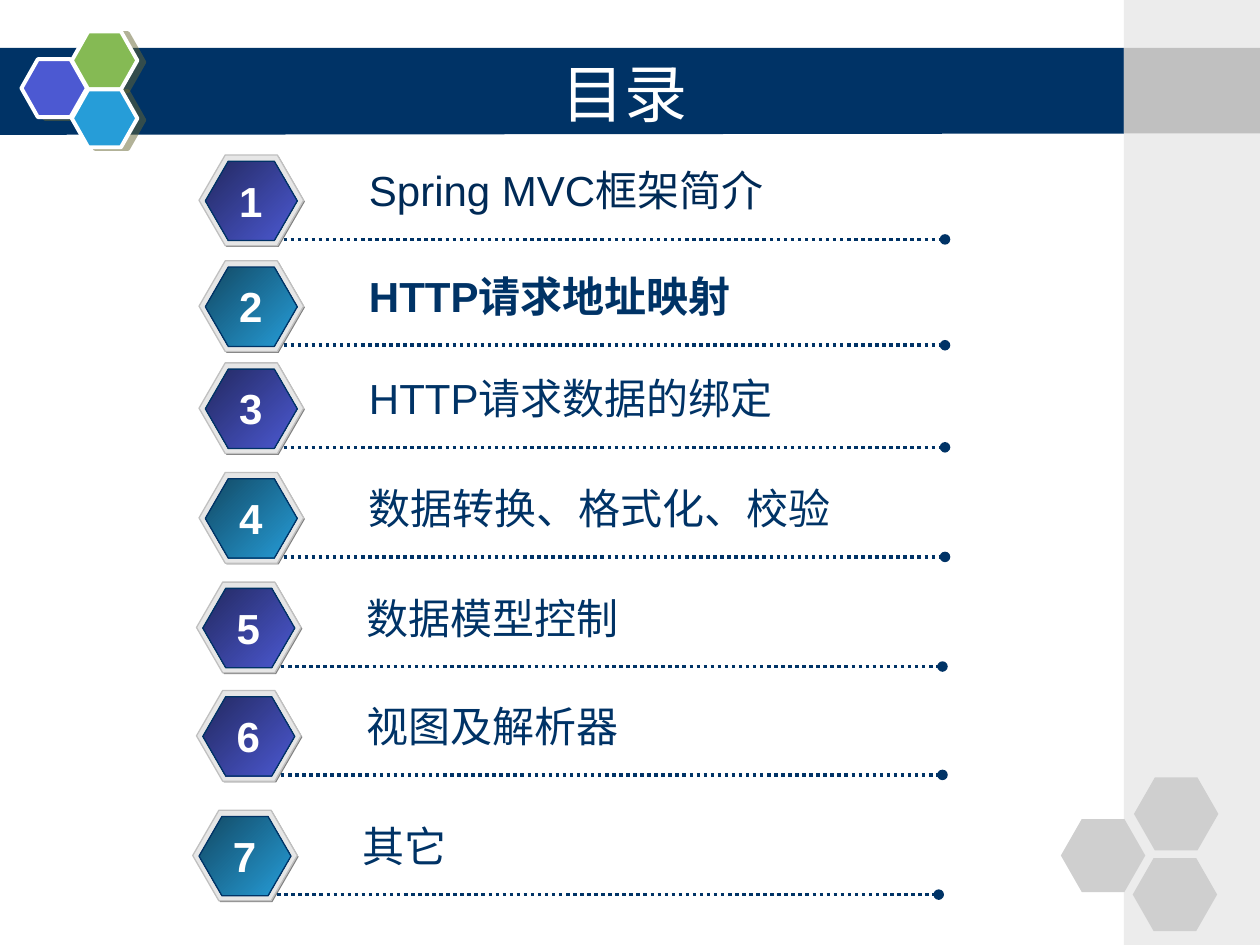
from lxml import etree
from pptx import Presentation
from pptx.dml.color import RGBColor as RGB
from pptx.enum.dml import MSO_LINE as Dash
from pptx.enum.shapes import MSO_CONNECTOR as Conn, MSO_SHAPE as Kind
from pptx.enum.text import MSO_ANCHOR as Anchor, PP_ALIGN as Align
from pptx.oxml import parse_xml
from pptx.oxml.ns import nsdecls, qn
from pptx.util import Inches, Pt

HUES = {
    "navy": "003366", "ink": "002A56", "white": "FFFFFF",
    "violet": "4C59D2", "dusk": "232961", "blue": "269DD8", "teal": "124964",
    "green": "85BA54", "pale": "ECECEC", "silver": "C0C0C0",
    "mist": "CFCFCF", "rim": "E6E6E6", "gray": "808080", "olive": "666633",
}
RGBS = {name: RGB.from_string(code) for name, code in HUES.items()}

deck = Presentation()
deck.slide_width, deck.slide_height = Inches(10), Inches(7.5)
slide = deck.slides.add_slide(deck.slide_layouts[6])
shapes = slide.shapes


def draw(kind, box, fill, edge=None, width=0.75, adj=None):
    """Add a preset shape; a pair of fills makes a diagonal gradient."""
    shape = shapes.add_shape(kind, *map(Inches, box))
    shape.shadow.inherit = False
    if adj:
        shape.adjustments[0] = adj
    if isinstance(fill, tuple):
        shape.fill.gradient()
        shape.fill.gradient_angle = 315
        for stop, hue in zip(shape.fill.gradient_stops, fill):
            stop.color.rgb = RGBS[hue]
    else:
        shape.fill.solid()
        shape.fill.fore_color.rgb = RGBS[fill]
    if edge:
        shape.line.color.rgb = RGBS[edge]
        shape.line.width = Pt(width)
    else:
        shape.line.fill.background()
    return shape


def write(text, box, hue, align=Align.LEFT, wrap=True, anchor=Anchor.TOP, **style):
    """Add a one-line text box."""
    frame = shapes.add_textbox(*map(Inches, box)).text_frame
    frame.word_wrap, frame.vertical_anchor = wrap, anchor
    para = frame.paragraphs[0]
    para.alignment = align
    run = para.add_run()
    run.text = text
    for key, value in ({"name": "Arial", "size": Pt(24)} | style).items():
        setattr(run.font, key, value)
    run.font.color.rgb = RGBS[hue]


# Title band
edge = [(-0.03, 0.38), (8.94, 0.38), (8.93, 1.06), (-0.03, 1.07)]
points = [(Inches(x), Inches(y)) for x, y in edge]
pen = shapes.build_freeform(*points[0])
pen.add_line_segments(points[1:], close=True)
band = pen.convert_to_shape()
band.shadow.inherit = False
band.fill.solid()
band.fill.fore_color.rgb = RGBS["navy"]
band.line.fill.background()

# Coloured hexagons with a hard shadow
for x, y, hue in [(0.17, 0.47, "violet"), (0.57, 0.25, "green"), (0.57, 0.71, "blue")]:
    cell = draw(Kind.HEXAGON, (x, y, 0.52, 0.46), hue, "white", 2.25, adj=0.283)
    effects = cell.element.spPr.find(qn("a:effectLst"))
    effects.append(parse_xml(
        f'<a:outerShdw {nsdecls("a")} blurRad="0" dist="{Pt(4.1)}" dir="{14 * 60000}"'
        f' algn="ctr" rotWithShape="0"><a:srgbClr val="{HUES["olive"]}">'
        '<a:alpha val="50000"/></a:srgbClr></a:outerShdw>'))

# Right-hand strip and its hexagons
draw(Kind.RECTANGLE, (8.92, 0, 1.08, 7.5), "pale")
draw(Kind.RECTANGLE, (8.92, 0.38, 1.08, 0.68), "silver")
for x, y in [(8.42, 6.5), (9, 6.17), (8.99, 6.81)]:
    draw(Kind.HEXAGON, (x, y, 0.67, 0.58), "mist", adj=0.286)

# Title
write("目录", (1.25, 0.42, 7.42, 0.62), "white", Align.CENTER,
      anchor=Anchor.MIDDLE, name="DejaVu Sans", size=Pt(36))

# Contents: left, top, badge colours, text, text colour, bold
cool, warm = ("teal", "blue"), ("dusk", "violet")
rows = [
    (1.58, 1.23, warm, "Spring MVC框架简介", "ink", False),
    (1.58, 2.07, cool, "HTTP请求地址映射", "navy", True),
    (1.58, 2.88, warm, "HTTP请求数据的绑定", "navy", False),
    (1.58, 3.75, cool, "数据转换、格式化、校验", "navy", False),
    (1.56, 4.62, warm, "数据模型控制", "navy", False),
    (1.56, 5.48, warm, "视图及解析器", "navy", False),
    (1.53, 6.43, cool, "其它", "navy", False),
]
for num, (x, y, blend, text, hue, bold) in enumerate(rows, 1):
    # Badge
    draw(Kind.HEXAGON, (x + 0.01, y + 0.01, 0.83, 0.72), "gray", adj=0.289)
    draw(Kind.HEXAGON, (x, y, 0.83, 0.72), "rim", "silver", adj=0.289)
    draw(Kind.HEXAGON, (x + 0.05, y + 0.05, 0.73, 0.63), blend, "navy", adj=0.289)

    # Dotted rule with a round end
    ends = (x + 0.67, y + 0.67, x + 5.92, y + 0.67)
    rule = shapes.add_connector(Conn.STRAIGHT, *map(Inches, ends))
    rule.line.color.rgb = RGBS["navy"]
    rule.line.width = Pt(2)
    rule.line.dash_style = Dash.ROUND_DOT
    props = rule.element.spPr
    etree.SubElement(props.find(qn("a:ln")), qn("a:tailEnd"), type="oval")
    etree.SubElement(props, qn("a:effectLst"))

    # Entry and number
    write(text, (x + 1.25, y + 0.03, 4.6, 0.5), hue, bold=bold)
    write(str(num), (x + 0.22, y + 0.11, 0.38, 0.5), "white", Align.CENTER,
          wrap=False, bold=True)

deck.save("out.pptx")
